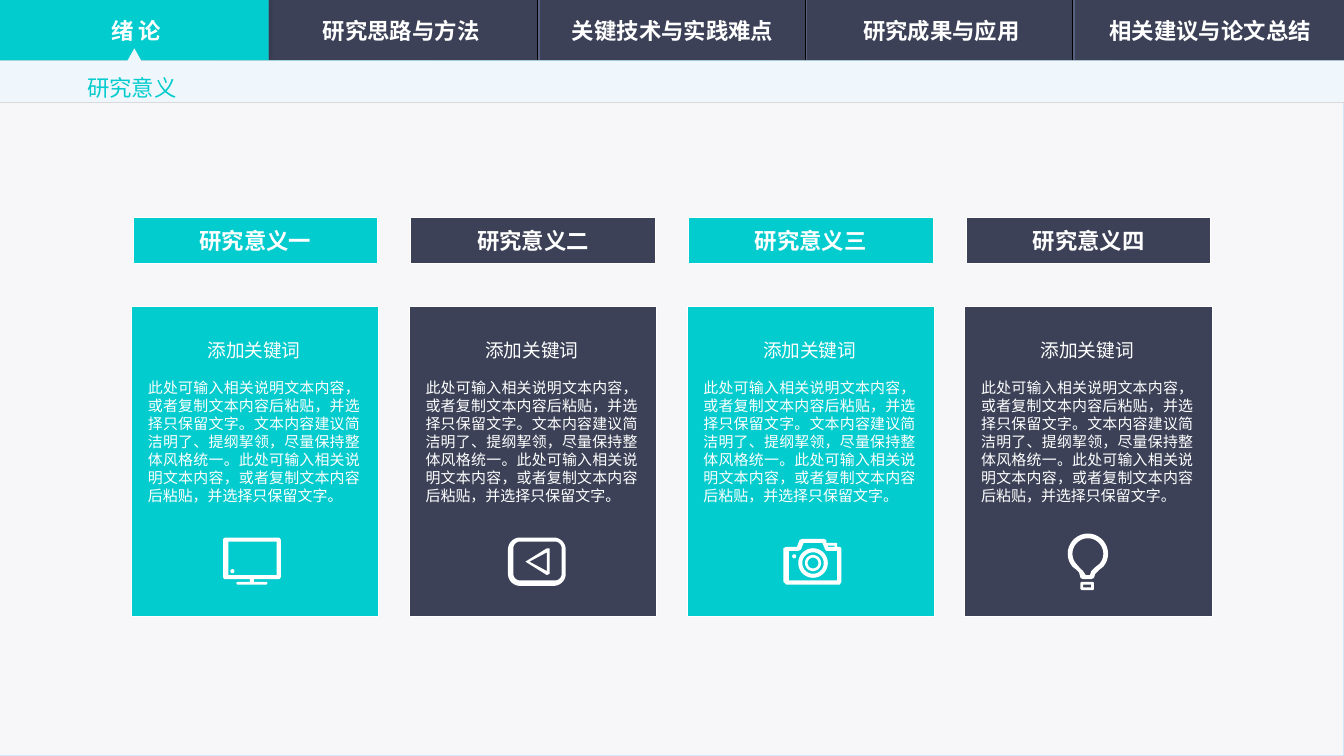
from math import cos, sin, radians
from lxml.etree import SubElement as Sub
from pptx import Presentation
from pptx.dml.color import RGBColor
from pptx.enum.shapes import MSO_CONNECTOR as Conn, MSO_SHAPE as Kind
from pptx.enum.text import MSO_ANCHOR as Anchor, PP_ALIGN as Align
from pptx.oxml.ns import qn
from pptx.util import Inches, Pt

TEAL = RGBColor(0x03, 0xCC, 0xCE)
NAVY = RGBColor(0x3C, 0x41, 0x57)
SLATE = RGBColor(0x3B, 0x44, 0x5B)
WHITE = RGBColor(0xFF, 0xFF, 0xFF)
BLACK = RGBColor(0, 0, 0)
STEEL = RGBColor(0x59, 0x61, 0x81)
PAPER = RGBColor(0xF7, 0xF7, 0xF9)
MIST = RGBColor(0xEF, 0xF6, 0xFC)
SKY = RGBColor(0xD4, 0xE7, 0xF9)
GREY = RGBColor(0xD9, 0xD9, 0xD9)
NOTO = "Noto Sans CJK SC"
NARROW = "Arial Narrow"

WIDE = Inches(10)
HIGH = int(WIDE * 9 / 16)
TABS = [("绪 论", 0.02), ("研究思路与方法", 1.99), ("关键技术与实践难点", 4.01),
        ("研究成果与应用", 6.01), ("相关建议与论文总结", 8.01)]
HEADS = ["研究意义一", "研究意义二", "研究意义三", "研究意义四"]
KEY = "添加关键词"
BODY = ("此处可输入相关说明文本内容，或者复制文本内容后粘贴，并选择只保留文字。"
        "文本内容建议简洁明了、提纲挈领，尽量保持整体风格统一。"
        "此处可输入相关说明文本内容，或者复制文本内容后粘贴，并选择只保留文字。")
LEFT = 0.98
STEP = 6.2 / 3


def paint(shape, fill, line=None):
    shape.shadow.inherit = False
    if fill is None:
        shape.fill.background()
    else:
        shape.fill.solid()
        shape.fill.fore_color.rgb = fill
    if line is None:
        shape.line.fill.background()
    else:
        shape.line.color.rgb = line
        shape.line.width = Pt(0.5)


def rect(slide, box, fill, line=None, kind=Kind.RECTANGLE):
    shape = slide.shapes.add_shape(kind, *map(Inches, box))
    paint(shape, fill, line)
    return shape


def rule(slide, start, end, color, width=0.5):
    line = slide.shapes.add_connector(Conn.STRAIGHT, *map(Inches, start + end))
    line.line.color.rgb = color
    line.line.width = Pt(width)
    Sub(line._element.spPr, qn("a:effectLst"))


def glow(shape):
    effects = shape._element.spPr.find(qn("a:effectLst"))
    outer = Sub(effects, qn("a:outerShdw"), blurRad=str(Pt(3)), dir="16200000")
    tint = Sub(outer, qn("a:srgbClr"), val=str(BLACK))
    Sub(tint, qn("a:alpha"), val="20000")


def write(para, text, size, font=NOTO, color=WHITE, bold=False, align=Align.CENTER):
    para.alignment = align
    run = para.add_run()
    run.text = text
    run.font.size = Pt(size)
    run.font.bold = bold
    run.font.name = font
    run.font.color.rgb = color
    Sub(run._r.get_or_add_rPr(), qn("a:ea"), typeface=NOTO)


def label(shape, text, font=NOTO):
    frame = shape.text_frame
    frame.vertical_anchor = Anchor.MIDDLE
    write(frame.paragraphs[0], text, 12, font, bold=True)


def text_box(slide, box, wrap=True):
    frame = slide.shapes.add_textbox(*map(Inches, box)).text_frame
    frame.word_wrap = wrap
    return frame


def arc(x, y, r, start=0, end=360, step=10):
    return [(x + r * cos(radians(a)), y + r * sin(radians(a)))
            for a in range(start, end + 1, step)]


def box(x, y, w, h, r=0.0):
    if not r:
        return [(x, y), (x + w, y), (x + w, y + h), (x, y + h)]
    return (arc(x + r, y + r, r, 180, 270) + arc(x + w - r, y + r, r, 270, 360)
            + arc(x + w - r, y + h - r, r, 0, 90) + arc(x + r, y + h - r, r, 90, 180))


def outline(slide, loops, fill):
    loops = [[(Inches(x), Inches(y)) for x, y in loop] for loop in loops]
    pen = slide.shapes.build_freeform(*loops[0][0], scale=1.0)
    for n, loop in enumerate(loops):
        if n:
            pen.move_to(*loop[0])
        pen.add_line_segments(loop[1:], close=True)
    paint(pen.convert_to_shape(), fill)


def screen():
    return [box(1.66, 4, 0.43, 0.31, 0.02), box(1.7, 4.03, 0.36, 0.25),
            arc(1.73, 4.25, 0.015), box(1.86, 4.31, 0.03, 0.02),
            box(1.76, 4.33, 0.23, 0.02, 0.01)]


def play():
    return [box(3.78, 4, 0.43, 0.36, 0.09), box(3.82, 4.03, 0.36, 0.29, 0.05),
            [(3.91, 4.18), (4.07, 4.08), (4.09, 4.08), (4.09, 4.27), (4.07, 4.28)],
            [(3.94, 4.18), (4.07, 4.11), (4.07, 4.25)]]


def camera():
    shell = [(5.83, 4.08), (5.85, 4.07), (5.93, 4.07), (5.95, 4.02), (5.97, 4.01),
             (6.13, 4.01), (6.15, 4.02), (6.15, 4.04), (6.23, 4.04), (6.23, 4.07),
             (6.25, 4.07), (6.26, 4.08), (6.26, 4.33), (6.25, 4.35), (5.85, 4.35),
             (5.83, 4.33)]
    hollow = [(5.87, 4.1), (5.94, 4.1), (5.96, 4.09), (5.98, 4.04), (6.12, 4.04),
              (6.14, 4.09), (6.15, 4.1), (6.23, 4.1), (6.23, 4.32), (5.87, 4.32)]
    rings = [arc(6.05, 4.19, r) for r in (0.11, 0.08, 0.06, 0.04)]
    return [shell, hollow, box(6.16, 4.06, 0.05, 0.01), arc(5.91, 4.14, 0.015)] + rings


def bulb():
    shell = arc(8.095, 4.12, 0.15, 140, 400) + [
        (8.18, 4.24), (8.15, 4.27), (8.14, 4.3), (8.12, 4.31),
        (8.06, 4.31), (8.04, 4.3), (8.03, 4.26), (8.01, 4.24)]
    hollow = arc(8.095, 4.12, 0.115, 140, 400) + [
        (8.15, 4.22), (8.12, 4.25), (8.11, 4.28), (8.08, 4.28), (8.06, 4.25), (8.03, 4.22)]
    return [shell, hollow, box(8.04, 4.33, 0.1, 0.06, 0.01), box(8.06, 4.35, 0.06, 0.02)]


def backdrop(slide):
    fill = slide.background.fill
    fill.gradient()
    fill.gradient_angle = 315
    for stop, color, at in zip(fill.gradient_stops, (TEAL, SLATE), (0, 1)):
        stop.color.rgb = color
        stop.position = at


def header(slide):
    rect(slide, (0, 0, 10, 0.45), NAVY)
    for x in (1.99, 4, 5.99, 7.98):
        rule(slide, (x, 0), (x, 0.45), BLACK)
        rule(slide, (x + 0.01, 0), (x + 0.01, 0.45), STEEL, 0.75)
    rect(slide, (0, 0.76, 10, 4.86), PAPER, SKY)
    glow(rect(slide, (0, 0, 2, 0.45), TEAL))
    outline(slide, [[(1, 0.36), (1.05, 0.45), (10, 0.45), (10, 0.76), (0, 0.76),
                     (0, 0.45), (0.95, 0.45)]], MIST)
    rule(slide, (0, 0.76), (10, 0.76), GREY)
    for name, x in TABS:
        tab = rect(slide, (x, 0.07, 1.99, 0.31), None, kind=Kind.ROUNDED_RECTANGLE)
        tab.adjustments[0] = 0
        label(tab, name)
    frame = text_box(slide, (0.55, 0.4, 0.88, 0.4), False)
    frame.vertical_anchor = Anchor.MIDDLE
    para = frame.paragraphs[0]
    para.line_spacing = 1.5
    write(para, "研究意义", 12, color=TEAL, align=Align.LEFT)


def card(slide, x, head, color, icon):
    label(rect(slide, (x + 0.01, 1.62, 1.82, 0.34), color, WHITE), head, NARROW)
    rect(slide, (x, 2.28, 1.84, 2.31), color, WHITE)
    frame = text_box(slide, (x + 0.12, 2.52, 1.58, 1.25))
    frame.margin_left = frame.margin_right = frame.margin_top = frame.margin_bottom = 0
    write(frame.paragraphs[0], KEY, 10)
    para = frame.add_paragraph()
    para.space_before = Pt(9.6)
    write(para, BODY, 8, align=Align.JUSTIFY)
    outline(slide, icon(), WHITE)


def main():
    deck = Presentation()
    deck.slide_width, deck.slide_height = WIDE, HIGH
    slide = deck.slides.add_slide(deck.slide_layouts[6])
    backdrop(slide)
    header(slide)
    for n, (head, icon) in enumerate(zip(HEADS, (screen, play, camera, bulb))):
        card(slide, LEFT + n * STEP, head, NAVY if n % 2 else TEAL, icon)
    deck.save("out.pptx")


main()
